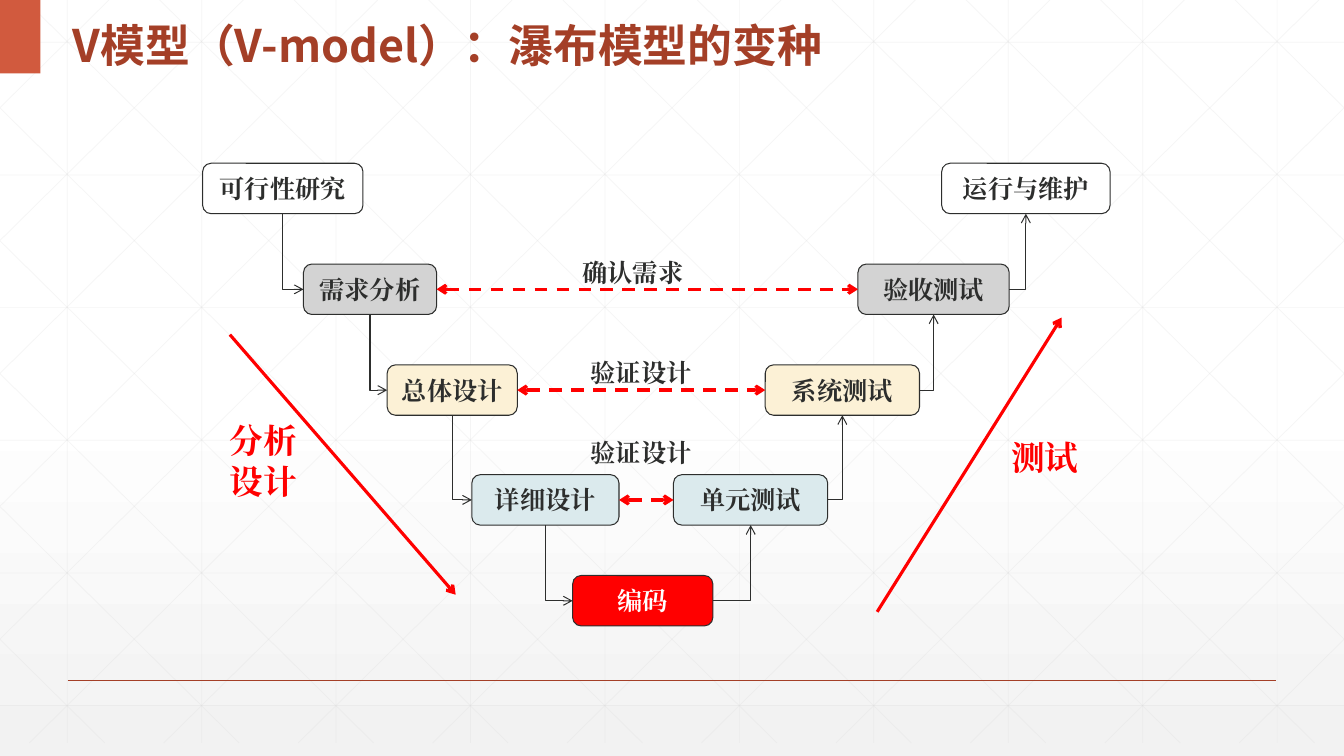
from dataclasses import dataclass

from lxml.etree import SubElement
from pptx import Presentation
from pptx.dml.color import RGBColor
from pptx.enum.dml import MSO_LINE
from pptx.enum.shapes import MSO_CONNECTOR, MSO_SHAPE
from pptx.enum.text import MSO_ANCHOR, PP_ALIGN
from pptx.oxml.ns import qn
from pptx.util import Inches, Pt


@dataclass(frozen=True)
class Theme:
    title_font: str = "Noto Sans CJK SC"
    body_font: str = "Times New Roman"
    title_size: int = 32
    phase_size: int = 24
    body_size: int = 18
    ink: str = "2D2E2D"
    accent: str = "A43F27"
    corner: str = "D15A3E"
    grid: str = "D9D9D9"
    red: str = "FF0000"
    white: str = "FFFFFF"
    shade: str = "F2F2F2"
    gray: str = "D3D3D3"
    cream: str = "FCF1D6"
    blue: str = "DBEAED"


@dataclass(frozen=True)
class Box:
    left: float
    top: float
    width: float
    height: float

    def inner(self, left, top, width, height):
        """Return a box whose corner is offset from this one's."""
        return Box(self.left + left, self.top + top, width, height)

    def inches(self):
        return [Inches(v) for v in (self.left, self.top, self.width, self.height)]


THEME = Theme()
LEVELS = [  # top, fill, then text, left and width of both branches
    (0, THEME.white, ("可行性研究", 0, 1.59), ("运行与维护", 7.33, 1.67)),
    (1, THEME.gray, ("需求分析", 1, 1.32), ("验收测试", 6.5, 1.5)),
    (2, THEME.cream, ("总体设计", 1.83, 1.29), ("系统测试", 5.58, 1.53)),
    (3.09, THEME.blue, ("详细设计", 2.67, 1.46), ("单元测试", 4.67, 1.53)),
]
CHECKS = [("确认需求", 3.67, 0.88), ("验证设计", 3.75, 1.88), ("验证设计", 3.75, 2.67)]
STAGE_HEIGHT = 0.5


def color(code):
    return RGBColor.from_string(code)


def style_text(frame, size, code, font_name):
    for para in frame.paragraphs:
        for span in para.runs:
            span.font.size = Pt(size)
            span.font.bold = True
            span.font.color.rgb = color(code)
            span.font.name = font_name
            SubElement(span.font._element, qn("a:ea"), typeface=font_name)


def style_line(connector, code, width, ends=(), dashed=False, opacity=None):
    """Format a connector; ends lists headEnd and tailEnd where arrows go."""
    connector.line.color.rgb = color(code)
    connector.line.width = Pt(width)
    if dashed:
        connector.line.dash_style = MSO_LINE.DASH
    properties = connector.element.spPr
    outline = properties.find(qn("a:ln"))
    if opacity:
        paint = outline.find(".//" + qn("a:srgbClr"))
        SubElement(paint, qn("a:alpha"), val=str(opacity * 1000))
    for end in ends:
        SubElement(outline, qn("a:" + end), type="arrow")
    SubElement(properties, qn("a:effectLst"))


def add_line(page, start, end, code, width, **options):
    points = [Inches(v) for v in (*start, *end)]
    connector = page.shapes.add_connector(MSO_CONNECTOR.STRAIGHT, *points)
    style_line(connector, code, width, **options)
    return connector


def add_label(page, box, text, size, code):
    label = page.shapes.add_textbox(*box.inches())
    label.text_frame.word_wrap = True
    label.text_frame.text = text
    style_text(label.text_frame, size, code, THEME.body_font)


def add_stage(page, box, text, fill, text_color=THEME.ink):
    stage = page.shapes.add_shape(MSO_SHAPE.ROUNDED_RECTANGLE, *box.inches())
    stage.shadow.inherit = False
    stage.fill.solid()
    stage.fill.fore_color.rgb = color(fill)
    stage.line.color.rgb = color(THEME.ink)
    stage.line.width = Pt(0.75)
    stage.text_frame.text = text
    stage.text_frame.vertical_anchor = MSO_ANCHOR.MIDDLE
    stage.text_frame.paragraphs[0].alignment = PP_ALIGN.CENTER
    style_text(stage.text_frame, THEME.body_size, text_color, THEME.body_font)
    return stage


def add_elbow(page, points, rotation=0):
    elbow = page.shapes.add_connector(MSO_CONNECTOR.ELBOW, *points)
    elbow.element.spPr.find(qn("a:prstGeom")).set("prst", "bentConnector2")
    if rotation:
        elbow.element.spPr.find(qn("a:xfrm")).set("rot", str(rotation * 60000))
    style_line(elbow, THEME.ink, 0.75, ends=["tailEnd"])


def step_down(page, upper, lower):
    """Lead from the bottom of one stage down, then right into the next."""
    x, y = upper.left + upper.width // 2, upper.top + upper.height
    run, drop = lower.left - x, lower.top + lower.height // 2 - y
    center_x, center_y = x + run // 2, y + drop // 2
    # The preset turns from across to down, so a quarter turn swaps its sides.
    add_elbow(page, (center_x - drop // 2, center_y + run // 2,
                     center_x + drop // 2, center_y - run // 2), 90)


def step_up(page, lower, upper):
    """Lead from the right of one stage across, then up into the next."""
    add_elbow(page, (lower.left + lower.width, lower.top + lower.height // 2,
                     upper.left + upper.width // 2, upper.top + upper.height))


def draw_backdrop(page, box):
    fill = page.background.fill
    fill.gradient()
    fill.gradient_angle = 270
    for stop, position, code in zip(fill.gradient_stops, (0.53, 1),
                                    (THEME.white, THEME.shade)):
        stop.position = position
        stop.color.rgb = color(code)

    right, bottom = box.left + box.width, box.top + box.height
    column, row, diagonal_run = 4 / 3, 1.316, 7.455
    slope = box.height / diagonal_run
    lines = [((x, box.top), (x, bottom))
             for x in (box.left + column * (i + 0.5) for i in range(10))]
    lines += [((box.left, y), (right, y))
              for y in (box.top + 0.42 + row * i for i in range(6))]
    for i in range(-5, 10):
        offset = 0.25 + column * i
        x1, x2 = max(0, offset), min(box.width, offset + diagonal_run)
        y1, y2 = (box.top + (x - offset) * slope for x in (x1, x2))
        lines.append(((box.left + x1, y1), (box.left + x2, y2)))
        lines.append(((right - x1, y1), (right - x2, y2)))
    for start, end in lines:
        add_line(page, start, end, THEME.grid, 0.5, opacity=25)
    add_line(page, (box.left + 0.67, 6.75), (right - 0.67, 6.75), THEME.accent, 1)


def draw_title(page, box, text):
    corner = page.shapes.add_shape(
        MSO_SHAPE.RECTANGLE, *box.inner(0, 0, 0.4, box.height).inches())
    corner.shadow.inherit = False
    corner.fill.solid()
    corner.fill.fore_color.rgb = color(THEME.corner)
    corner.line.fill.background()

    title = page.shapes.title
    title.left, title.top, title.width, title.height = box.inner(
        0.62, 0, 8.5, box.height).inches()
    title.text_frame.text = text
    title.text_frame.vertical_anchor = MSO_ANCHOR.MIDDLE
    title.text_frame.paragraphs[0].alignment = PP_ALIGN.LEFT
    title.text_frame.paragraphs[0].line_spacing = 1.3
    style_text(title.text_frame, THEME.title_size, THEME.accent, THEME.title_font)
    page.shapes.element.append(title.element)


def draw_v_model(page, box):
    branches = ([], [])
    for top, fill, *pair in LEVELS:
        for branch, (text, left, width) in zip(branches, pair):
            area = box.inner(left, top, width, STAGE_HEIGHT)
            branch.append(add_stage(page, area, text, fill))
    coding = add_stage(page, box.inner(3.67, 4.09, 1.39, STAGE_HEIGHT),
                       "编码", THEME.red, THEME.white)
    designs, tests = (branch + [coding] for branch in branches)
    for upper, lower in zip(designs, designs[1:]):
        step_down(page, upper, lower)
    for upper, lower in zip(tests, tests[1:]):
        step_up(page, lower, upper)

    for design, test in list(zip(*branches))[1:]:
        link = add_line(page, (0, 0), (1, 1), THEME.red, 2.25,
                        ends=["headEnd", "tailEnd"], dashed=True)
        link.begin_connect(design, 3)
        link.end_connect(test, 1)
    for text, left, top in CHECKS:
        add_label(page, box.inner(left, top, 1.33, 0.38), text,
                  THEME.body_size, THEME.ink)


def draw_phase(page, box, text, start, end):
    """Name a phase in the box; its arrow runs between offsets from the box."""
    add_label(page, box, text, THEME.phase_size, THEME.red)
    start, end = ((box.left + x, box.top + y) for x, y in (start, end))
    add_line(page, start, end, THEME.red, 2.25, ends=["tailEnd"])


def main():
    deck = Presentation()
    deck.slide_width, deck.slide_height = Inches(13.33), Inches(7.5)
    page = deck.slides.add_slide(deck.slide_layouts.get_by_name("Title Only"))
    draw_backdrop(page, Box(0, 0, 13.33, 7.37))
    draw_title(page, Box(0, 0, 13.33, 0.73), "V模型（V-model）：瀑布模型的变种")
    draw_v_model(page, Box(2.01, 1.62, 9, 4.59))
    draw_phase(page, Box(2.18, 4.12, 1.25, 1.08), "分析\n设计",
               (0.1, -0.8), (2.34, 1.78))
    draw_phase(page, Box(9.93, 4.29, 1, 0.67), "测试",
               (-1.23, 1.78), (0.6, -1.14))
    deck.save("out.pptx")


if __name__ == "__main__":
    main()
